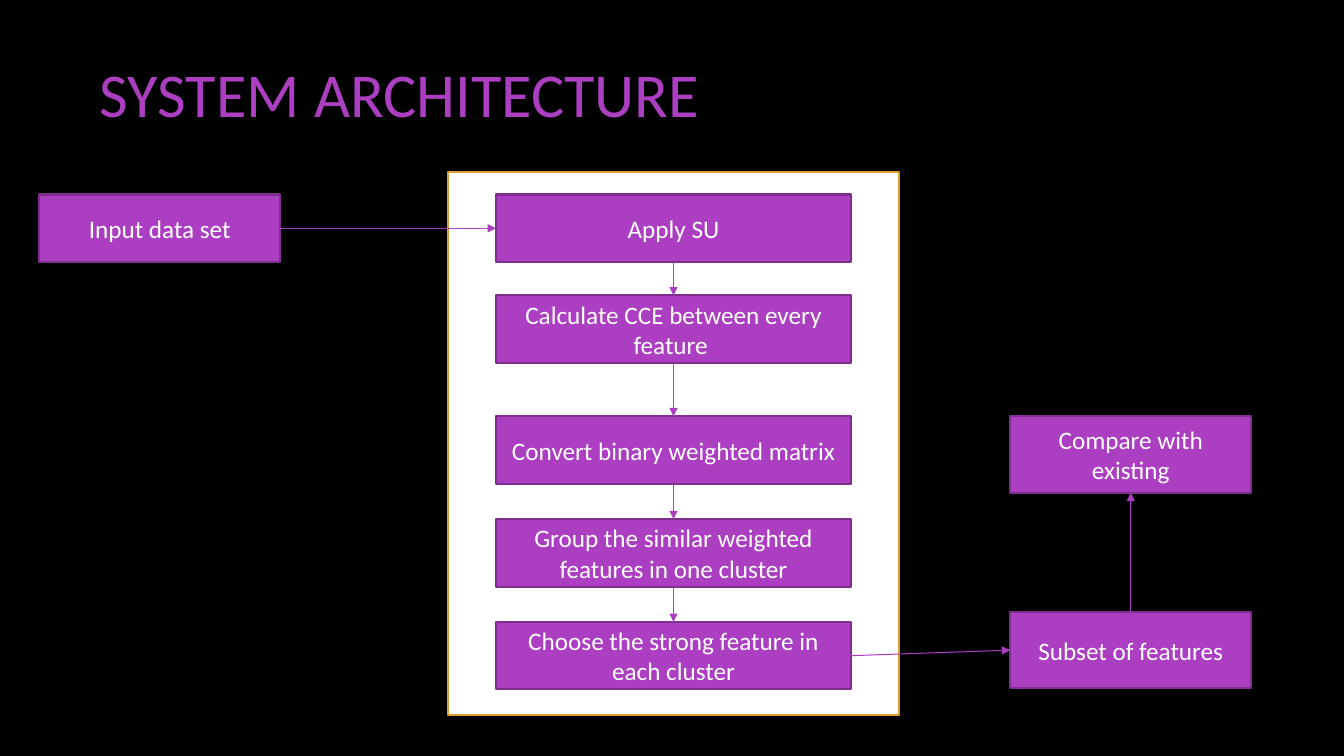
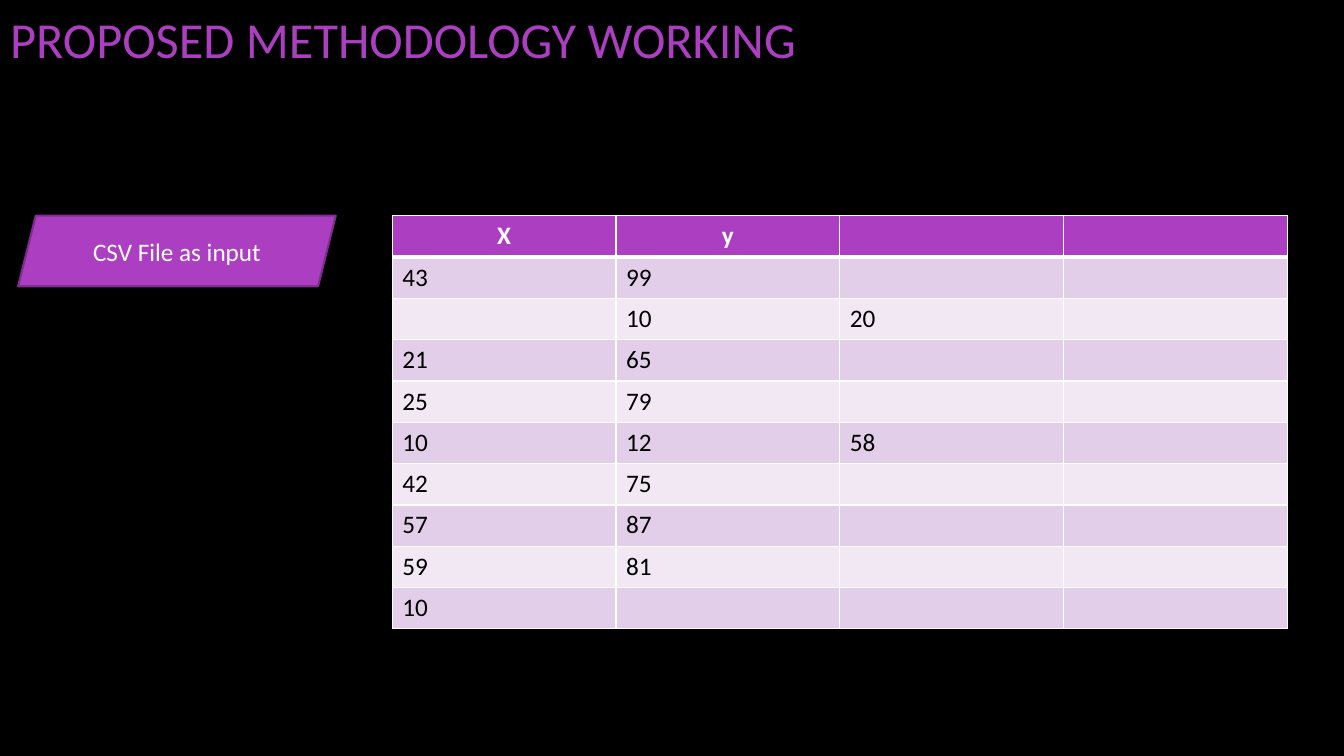
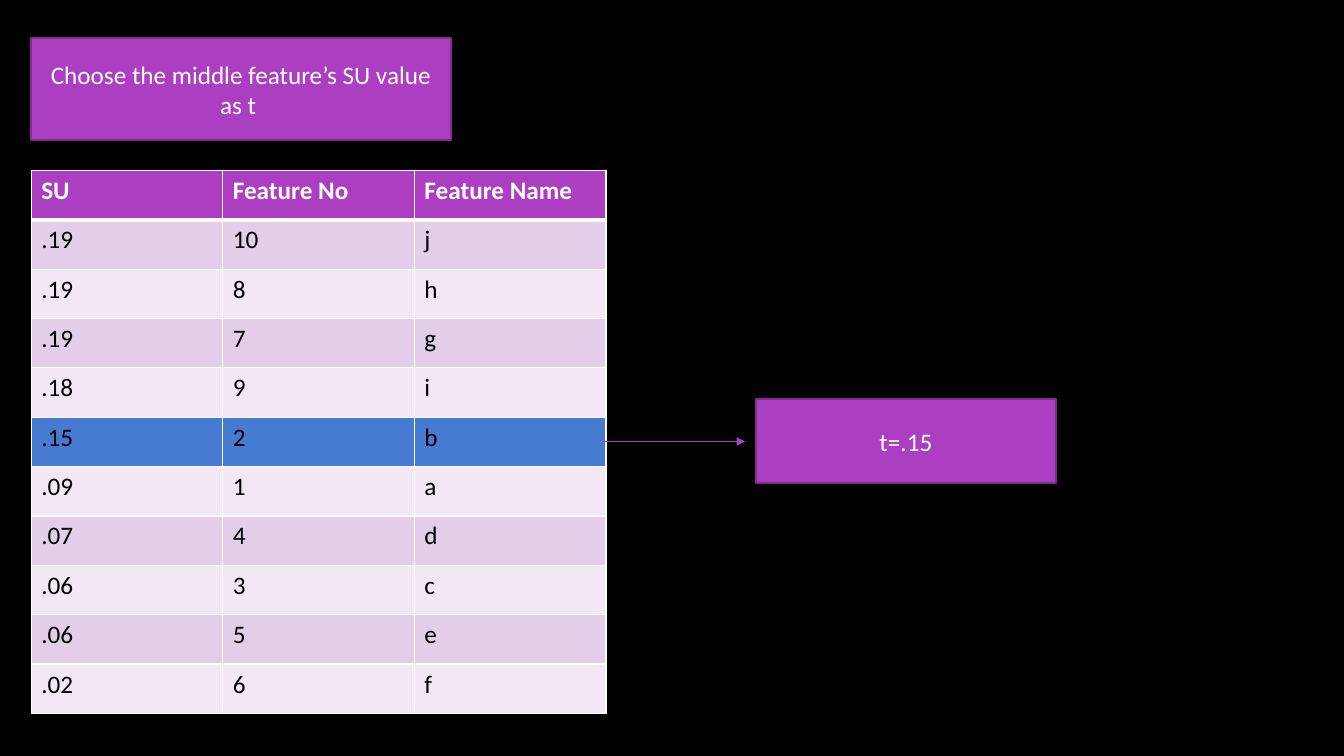
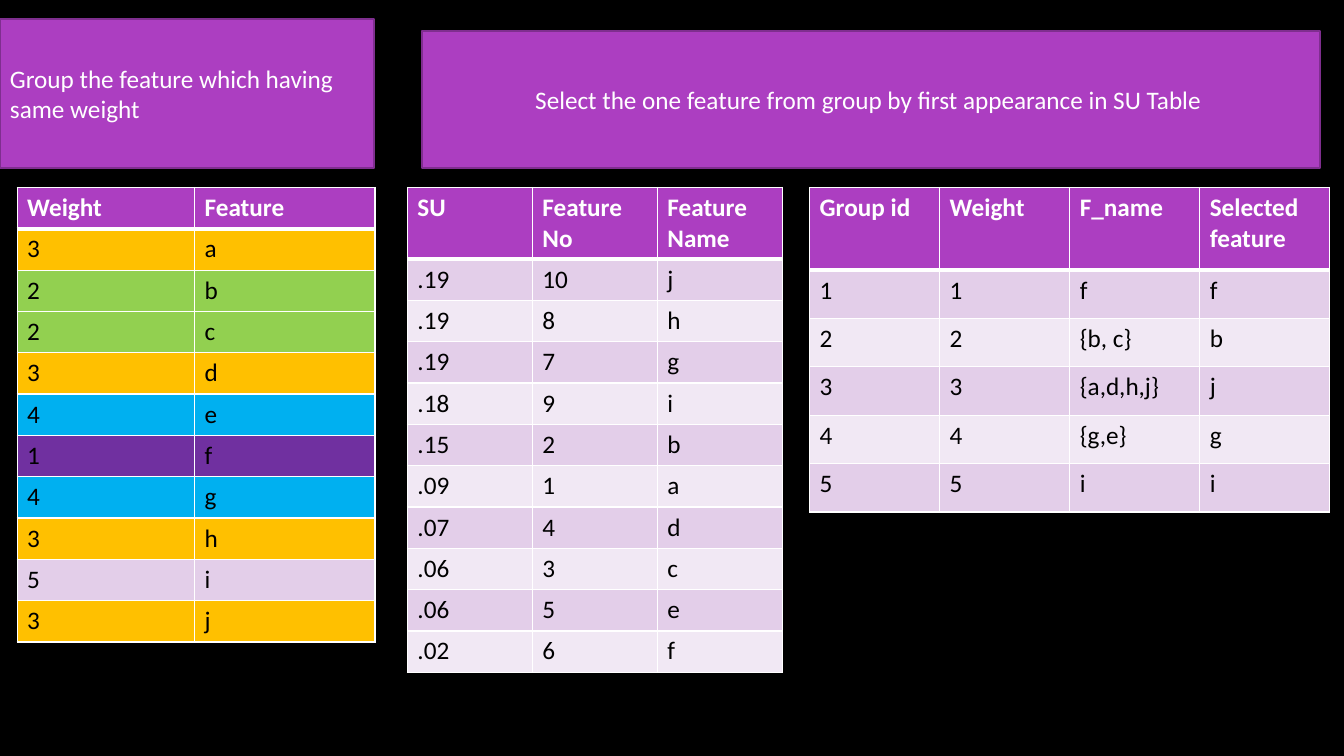
from itertools import pairwise

from lxml.etree import SubElement
from pptx import Presentation
from pptx.dml.color import RGBColor
from pptx.enum.shapes import MSO_CONNECTOR, MSO_SHAPE
from pptx.enum.text import MSO_ANCHOR, MSO_AUTO_SIZE, PP_ALIGN
from pptx.oxml.ns import qn
from pptx.util import Inches, Pt

BLACK = RGBColor(0x00, 0x00, 0x00)
WHITE = RGBColor(0xFF, 0xFF, 0xFF)
PURPLE = RGBColor(0xAC, 0x3E, 0xC1)
PLUM = RGBColor(0x7F, 0x2E, 0x8F)
AMBER = RGBColor(0xDD, 0x9D, 0x31)
BAND_DARK = RGBColor(0xE3, 0xCE, 0xE9)
BAND_LIGHT = RGBColor(0xF1, 0xE8, 0xF4)
BLUE = RGBColor(0x47, 0x7B, 0xD1)
GOLD = RGBColor(0xFF, 0xC0, 0x00)
GREEN = RGBColor(0x92, 0xD0, 0x50)
SKY = RGBColor(0x00, 0xB0, 0xF0)
VIOLET = RGBColor(0x70, 0x30, 0xA0)

FONT = "Calibri"
TITLE_ONLY, BLANK = 5, 6
TOP, LEFT, BOTTOM, RIGHT = range(4)

STEPS = [
    (1.93, "Apply SU"),
    (2.93, "Calculate CCE between every feature "),
    (4.13, "Convert binary weighted matrix"),
    (5.15, "Group the similar weighted features in one cluster"),
    (6.17, "Choose the strong feature in each cluster"),
]
CSV_ROWS = [
    ("X", "y", "", ""),
    ("43", "99", "", ""),
    ("", "10", "20", ""),
    ("21", "65", "", ""),
    ("25", "79", "", ""),
    ("10", "12", "58", ""),
    ("42", "75", "", ""),
    ("57", "87", "", ""),
    ("59", "81", "", ""),
    ("10", "", "", ""),
]
SU_ROWS = [
    ("SU", "Feature No", "Feature Name"),
    (".19", "10", "j"),
    (".19", "8", "h"),
    (".19", "7", "g"),
    (".18", "9", "i"),
    (".15", "2", "b"),
    (".09", "1", "a"),
    (".07", "4", "d"),
    (".06", "3", "c"),
    (".06", "5", "e"),
    (".02", "6", "f"),
]
WEIGHT_ROWS = [("Weight", "Feature"), *zip("3223414353", "abcdefghij")]
GROUP_ROWS = [
    ("Group id", "Weight", "F_name", "Selected feature"),
    ("1", "1", "f", "f"),
    ("2", "2", "{b, c}", "b"),
    ("3", "3", "{a,d,h,j}", "j"),
    ("4", "4", "{g,e}", "g"),
    ("5", "5", "i", "i"),
]
WEIGHT_FILLS = {"1": VIOLET, "2": GREEN, "3": GOLD, "4": SKY}


def write(tf, text, size=18, color=WHITE, bold=False, align=PP_ALIGN.LEFT):
    """Write one formatted paragraph into a text frame."""
    p = tf.paragraphs[0]
    p.alignment = align
    r = p.add_run()
    r.text = text
    r.font.name = FONT
    r.font.size = Pt(size)
    r.font.bold = bold
    r.font.color.rgb = color


def set_borders(cell, top, bottom):
    """Give a table cell white borders, with top and bottom widths in points."""
    tc_pr = cell._tc.get_or_add_tcPr()
    for tag, width in (("a:lnL", 1), ("a:lnR", 1), ("a:lnT", top), ("a:lnB", bottom)):
        ln = SubElement(tc_pr, qn(tag), w=str(Pt(width)))
        SubElement(SubElement(ln, qn("a:solidFill")), qn("a:srgbClr"), val=str(WHITE))


class Deck:
    """Hold the presentation, its style and the current slide."""

    def __init__(self):
        """Start a widescreen presentation on a black master."""
        self.prs = Presentation()
        self.prs.slide_width = Inches(13.33)
        self.prs.slide_height = Inches(7.5)
        fill = self.prs.slide_master.background.fill
        fill.solid()
        fill.fore_color.rgb = BLACK

    def slide(self, layout=BLANK):
        """Add a slide and make it current."""
        self.s = self.prs.slides.add_slide(self.prs.slide_layouts[layout])

    def title(self, text, left, top, width, height, size):
        """Place and format the slide title."""
        sp = self.s.shapes.title
        sp.left, sp.top = Inches(left), Inches(top)
        sp.width, sp.height = Inches(width), Inches(height)
        tf = sp.text_frame
        tf.auto_size = MSO_AUTO_SIZE.NONE
        tf.vertical_anchor = MSO_ANCHOR.MIDDLE
        write(tf, text, size=size, color=PURPLE)

    def box(self, left, top, width, height, text="", kind=MSO_SHAPE.RECTANGLE,
            fill=PURPLE, line=PLUM, align=PP_ALIGN.CENTER):
        """Add an outlined shape with optional text."""
        sp = self.s.shapes.add_shape(
            kind, Inches(left), Inches(top), Inches(width), Inches(height))
        sp.shadow.inherit = False
        sp.fill.solid()
        sp.fill.fore_color.rgb = fill
        sp.line.color.rgb = line
        sp.line.width = Pt(1.5)
        if text:
            sp.text_frame.word_wrap = True
            sp.text_frame.vertical_anchor = MSO_ANCHOR.MIDDLE
            write(sp.text_frame, text, align=align)
        return sp

    def arrow(self, x1=0, y1=0, x2=0, y2=0):
        """Add a thin arrow between two points."""
        cxn = self.s.shapes.add_connector(
            MSO_CONNECTOR.STRAIGHT, Inches(x1), Inches(y1), Inches(x2), Inches(y2))
        cxn.line.color.rgb = PURPLE
        cxn.line.width = Pt(0.75)
        SubElement(cxn.line._get_or_add_ln(), qn("a:tailEnd"), type="triangle")
        SubElement(cxn._element.spPr, qn("a:effectLst"))
        return cxn

    def join(self, start, start_side, end, end_side):
        """Join the sides of two boxes with an arrow."""
        cxn = self.arrow()
        cxn.begin_connect(start, start_side)
        cxn.end_connect(end, end_side)

    def table(self, rows, left, top, widths, row_height, head_height=None,
              head_align=PP_ALIGN.LEFT, fills=None):
        """Add a banded table, with fills chosen by the first cell of a row."""
        heights = [head_height or row_height] + [row_height] * (len(rows) - 1)
        tbl = self.s.shapes.add_table(
            len(rows), len(widths), Inches(left), Inches(top),
            Inches(sum(widths)), Inches(sum(heights))).table
        tbl.horz_banding = False
        for col, width in zip(tbl.columns, widths):
            col.width = Inches(width)
        for i, values in enumerate(rows):
            tbl.rows[i].height = Inches(heights[i])
            head = i == 0
            band = BAND_DARK if i % 2 else BAND_LIGHT
            fill = PURPLE if head else (fills or {}).get(values[0], band)
            for j, text in enumerate(values):
                cell = tbl.cell(i, j)
                set_borders(cell, top=3 if i == 1 else 1, bottom=3 if head else 1)
                cell.fill.solid()
                cell.fill.fore_color.rgb = fill
                if text:
                    write(cell.text_frame, text, color=WHITE if head else BLACK,
                          bold=head, align=head_align if head else PP_ALIGN.LEFT)


def architecture(deck):
    """Build the system architecture slide."""
    deck.slide(TITLE_ONLY)
    deck.box(4.44, 1.71, 4.48, 5.38, fill=WHITE, line=AMBER)
    deck.title("SYSTEM ARCHITECTURE", 0.89, 0.12, 11.08, 1.59, size=44.5)
    data = deck.box(0.39, 1.93, 2.39, 0.67, "Input data set")
    steps = [deck.box(4.92, top, 3.52, 0.67, text) for top, text in STEPS]
    subset = deck.box(10.02, 6.07, 2.39, 0.76, "Subset of features")
    compare = deck.box(10.02, 4.13, 2.39, 0.76, "Compare with existing")
    for upper, lower in pairwise(steps):
        deck.join(upper, BOTTOM, lower, TOP)
    deck.join(data, RIGHT, steps[0], LEFT)
    deck.join(steps[-1], RIGHT, subset, LEFT)
    deck.join(subset, TOP, compare, BOTTOM)


def methodology(deck):
    """Build the slide with the input file."""
    deck.slide(TITLE_ONLY)
    deck.title("PROPOSED METHODOLOGY WORKING", 0, 0, 11.08, 0.77, size=36)
    deck.box(0.18, 2.14, 3.15, 0.7, "CSV File as input", kind=MSO_SHAPE.PARALLELOGRAM)
    deck.table(CSV_ROWS, 3.89, 2.14, [2.22] * 4, 0.41, head_align=PP_ALIGN.CENTER)


def threshold(deck):
    """Build the slide that picks the threshold."""
    deck.slide()
    deck.box(0.31, 0.38, 4.16, 1.01, "Choose the middle feature’s SU value as t ")
    deck.table(SU_ROWS, 0.31, 1.69, [1.9] * 3, 0.49, fills={".15": BLUE})
    deck.box(7.5, 3.96, 2.97, 0.83, "t=.15")
    deck.arrow(6, 4.38, 7.39, 4.38)


def grouping(deck):
    """Build the slide that groups and selects features."""
    deck.slide()
    deck.box(0, 0.19, 3.71, 1.48, "Group the feature which having same weight",
             align=PP_ALIGN.LEFT)
    deck.box(4.19, 0.31, 8.9, 1.36,
             "Select the one feature from group by first appearance in SU Table ")
    deck.table(WEIGHT_ROWS, 0.17, 1.86, [1.76, 1.79], 0.41, fills=WEIGHT_FILLS)
    deck.table(SU_ROWS, 4.04, 1.86, [1.24] * 3, 0.41, head_height=0.7)
    deck.table(GROUP_ROWS, 8.03, 1.86, [1.29] * 4, 0.48, head_height=0.82)


def main():
    """Build every slide and save the presentation."""
    deck = Deck()
    for build in (architecture, methodology, threshold, grouping):
        build(deck)
    deck.prs.save("out.pptx")


if __name__ == "__main__":
    main()
